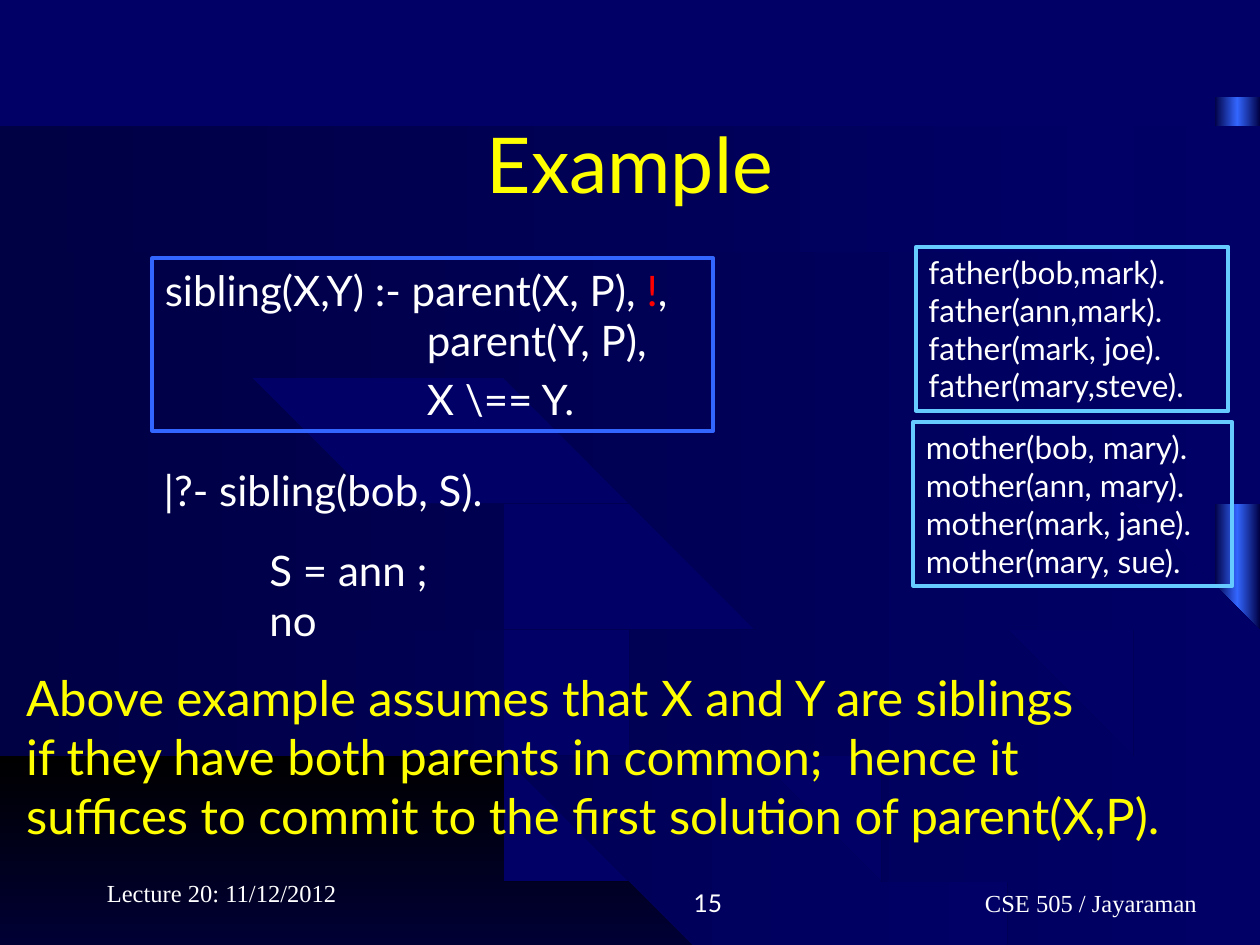
from copy import deepcopy

from pptx import Presentation
from pptx import util as u
from pptx.dml.color import RGBColor
from pptx.enum import shapes, text

COLORS = {
    "background": "000066", "dark": "000044", "black": "000000", "wave_end": "000048",
    "blue": "3366FF", "sky": "66CCFF", "white": "FFFFFF", "yellow": "FFFF00", "red": "FF0000",
}
TITLE_ONLY = 5
CURVE_STEPS = 16

presentation = Presentation()
presentation.slide_width, presentation.slide_height = u.Inches(10), u.Inches(7.5)
column = presentation.slide_width / 10
row = presentation.slide_height / 7.5
slide = presentation.slides.add_slide(presentation.slide_layouts[TITLE_ONLY])
slide.background.fill.solid()
slide.background.fill.fore_color.rgb = RGBColor.from_string(COLORS["background"])


def paint_gradient(shape, names, angle):
    shape.shadow.inherit = False
    shape.line.fill.background()
    shape.fill.gradient()
    shape.fill.gradient_angle = angle
    stop_list = shape.fill._fill._gradFill.gsLst
    while len(stop_list) < len(names):
        stop_list.append(deepcopy(stop_list[0]))
    for index, (stop, name) in enumerate(zip(shape.fill.gradient_stops, names)):
        stop.position = index / (len(names) - 1)
        stop.color.rgb = RGBColor.from_string(COLORS[name])


def write_text(shape, paragraphs, size, color, font="Lato", align="LEFT", anchor="TOP"):
    frame = shape.text_frame
    frame_format = {
        "word_wrap": True, "auto_size": text.MSO_AUTO_SIZE.NONE,
        "vertical_anchor": getattr(text.MSO_ANCHOR, anchor),
        "margin_left": u.Inches(0.1), "margin_right": u.Inches(0.1),
        "margin_top": u.Inches(0.05), "margin_bottom": u.Inches(0.05),
    }
    for name, value in frame_format.items():
        setattr(frame, name, value)
    for index, content in enumerate(paragraphs):
        paragraph = frame.paragraphs[0] if index == 0 else frame.add_paragraph()
        paragraph.alignment = getattr(text.PP_ALIGN, align)
        runs = [(content, color)] if isinstance(content, str) else content
        for words, run_color in runs:
            run = paragraph.add_run()
            run.text = words
            for name, value in {"name": font, "size": u.Pt(size), "bold": False}.items():
                setattr(run.font, name, value)
            run.font.color.rgb = RGBColor.from_string(COLORS[run_color])


edge = slide.shapes.add_shape(
    shapes.MSO_SHAPE.RECTANGLE, int(9.64 * column), int(0.77 * row),
    int(0.36 * column), int(6.73 * row))
paint_gradient(edge, ["dark", "blue", "dark"], 0)

band_paint = (["dark", "background"], 0)
sweeps = [
    ((5.68, 3.4, 5.56, 7.5), (7.5, 3, 5.56, 7.5), (["black", "wave_end"], 270)),
    ((4.95, 4.9, 8.2, 7.5), (5.54, 3.5, 5.77, 7.5), band_paint),
    ((4.21, 6.3, 10, 6.37), (4.8, 5.1, 8.42, 7.5), band_paint),
    ((3.46, 5.6, 10, 4.56), (4.07, 6.3, 10, 6.19), band_paint),
    ((2.73, 5, 10, 2.73), (3.32, 5.8, 10, 4.42), band_paint),
    ((2.06, 6.7, 9.44, 0.75), (2.59, 5, 10, 2.59), band_paint),
    ((1.39, 3.3, 5.57, 0.75), (1.92, 6.1, 9.18, 0.75), band_paint),
    ((0.75, 2.5, 5.02, 0.75), (1.24, 2.9, 5.02, 0.75), band_paint),
]
for upper, lower, (names, angle) in sweeps:
    sides = []
    for start_y, bend_x, end_x, end_y in (upper, lower):
        steps = [step / CURVE_STEPS for step in range(CURVE_STEPS + 1)]
        sides.append([(2 * t * (1 - t) * bend_x + t * t * end_x,
                       start_y + t * t * (end_y - start_y)) for t in steps])
    ends = [side[-1] for side in sides]
    corner = (max(ends)[0], min(ends)[1])
    points = sides[0] + [corner] + sides[1][::-1]
    builder = slide.shapes.build_freeform(*points[0], scale=column)
    builder.add_line_segments(points[1:], close=True)
    paint_gradient(builder.convert_to_shape(), names, angle)

title = slide.shapes.title
title_place = {"left": 0.75 * column, "top": 0.67 * row, "width": 8.5 * column, "height": 1.25 * row}
for name, value in title_place.items():
    setattr(title, name, int(value))
write_text(title, ["Example"], 44, "yellow", align="CENTER", anchor="MIDDLE")
slide.shapes._spTree.append(title._element)

footers = [
    (0.75, 6.75, 2.08, "Lecture 20: 11/12/2012", "Times New Roman", "LEFT"),
    (6.43, 6.83, 3.17, "CSE 505 / Jayaraman", "Times New Roman", "RIGHT"),
    (3.75, 6.83, 2.08, "15", "Lato", "RIGHT"),
]
for left, top, width, words, font, align in footers:
    footer = slide.shapes.add_textbox(
        int(left * column), int(top * row), int(width * column), int(0.5 * row))
    write_text(footer, [words], 14, "white", font, align, "BOTTOM")

rule = [
    [("sibling(X,Y) :- parent(X, P), ", "white"), ("!", "red"), (",", "white")],
    "parent(Y, P),",
    "X \\== Y.",
]
framed = [
    (7.25, 3.35, 2.53, 1.3, "sky", 18,
     ["mother(bob, mary).", "mother(ann, mary).", "mother(mark, jane).", "mother(mary, sue)."]),
    (7.27, 1.96, 2.48, 1.3, "sky", 18,
     ["father(bob,mark).", "father(ann,mark).", "father(mark, joe).", "father(mary,steve)."]),
    (1.21, 2.05, 4.45, 1.37, "blue", 24, rule),
]
for left, top, width, height, border, size, lines in framed:
    box = slide.shapes.add_shape(
        shapes.MSO_SHAPE.RECTANGLE, int(left * column), int(top * row),
        int(width * column), int(height * row))
    box.shadow.inherit = False
    box.fill.background()
    box.line.color.rgb = RGBColor.from_string(COLORS[border])
    box.line.width = u.Pt(2.25)
    write_text(box, lines, size, "white")

goals = box.text_frame.paragraphs[1:]
for paragraph in goals:
    paragraph._p.get_or_add_pPr().set("marL", str(u.Inches(2.08)))
goals[-1].space_before = u.Pt(4.5)

plain = [
    (1.2, 3.64, 3.01, 0.5, 24, "white", ["|?- sibling(bob, S)."]),
    (2.04, 4.27, 1.52, 0.9, 24, "white", ["S = ann ;", "no"]),
    (0.11, 5.25, 9.81, 1.5, 28, "yellow", [
        "Above example assumes that X and Y are siblings",
        "if they have both parents in common;  hence it",
        "suffices to commit to the first solution of parent(X,P).",
    ]),
]
for left, top, width, height, size, color, lines in plain:
    box = slide.shapes.add_textbox(
        int(left * column), int(top * row), int(width * column), int(height * row))
    write_text(box, lines, size, color)

presentation.save("out.pptx")
